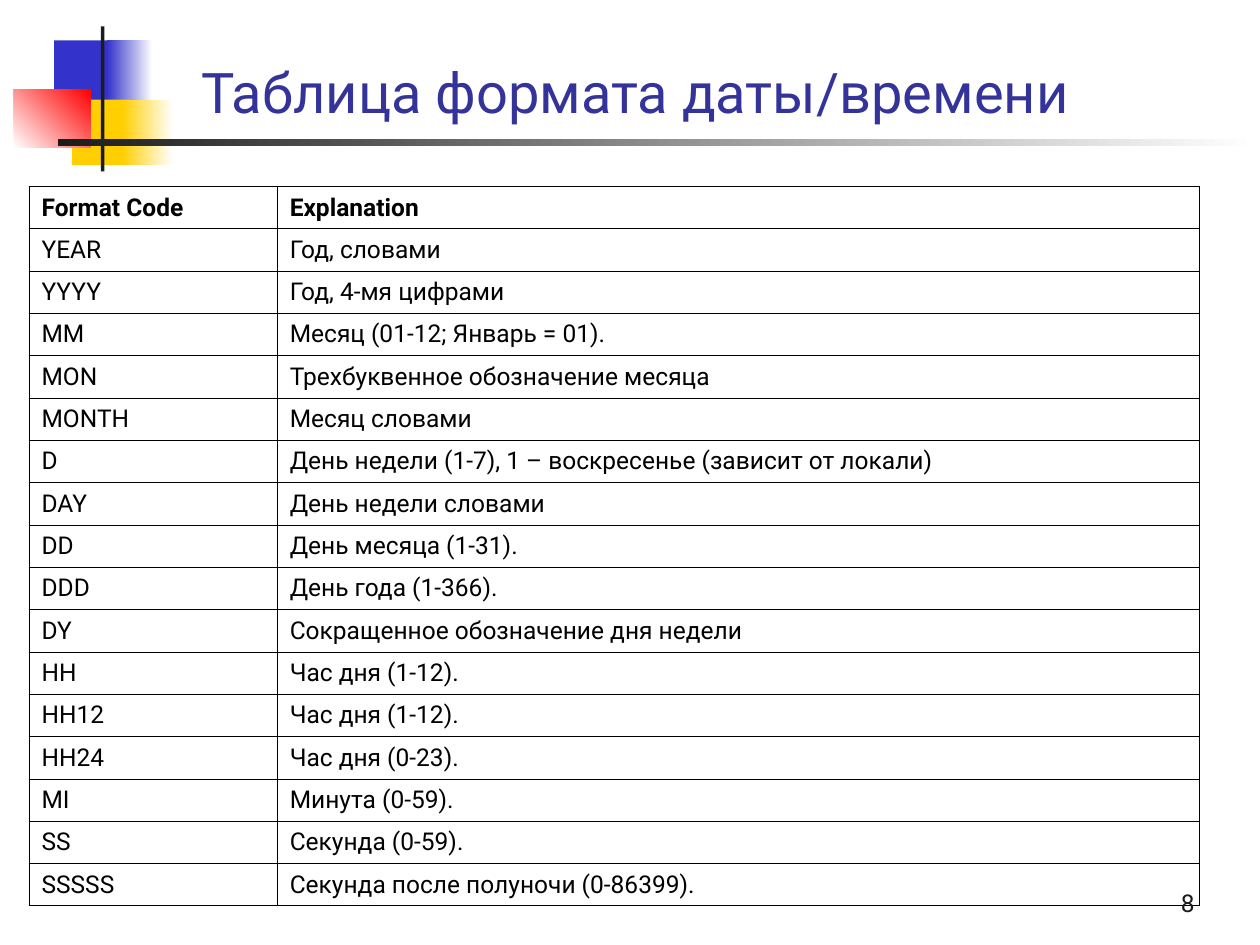
from dataclasses import dataclass
from typing import Optional

import pptx
import pptx.dml.color
import pptx.enum.shapes
import pptx.enum.text
import pptx.oxml
import pptx.oxml.ns
import pptx.util

Inches = pptx.util.Inches
Pt = pptx.util.Pt
RGB = pptx.dml.color.RGBColor.from_string
Align = pptx.enum.text.PP_ALIGN
Anchor = pptx.enum.text.MSO_ANCHOR


@dataclass(frozen=True)
class Theme:
    font: str = "Roboto"
    title_size: float = 32
    body_size: float = 14
    border_width: float = 0.45
    title: str = "333399"
    text: str = "000000"
    ink: str = "1C1C1C"
    blue: str = "3333CC"
    yellow: str = "FFCF01"
    red: str = "FF0000"
    white: str = "FFFFFF"


THEME = Theme()


@dataclass(frozen=True)
class Block:
    left: float
    top: float
    width: float
    height: float
    color: str
    end: Optional[str] = None
    angle: float = 0


@dataclass(frozen=True)
class FormatCode:
    code: str
    meaning: str


BLOCKS = [
    Block(0.43, 0.32, 0.48, 0.52, THEME.blue),
    Block(0.85, 0.32, 0.36, 0.52, THEME.blue, THEME.white),
    Block(0.57, 0.79, 0.46, 0.52, THEME.yellow),
    Block(0.97, 0.79, 0.4, 0.52, THEME.yellow, THEME.white),
    Block(0.11, 0.71, 0.61, 0.46, THEME.white, THEME.red, 45),
    Block(0.8, 0.21, 0.03, 1.15, THEME.ink),
    Block(0.46, 1.1, 9.51, 0.06, THEME.ink, THEME.white),
]

ROWS = [
    FormatCode("Format Сode", "Explanation"),
    FormatCode("YEAR", "Год, словами"),
    FormatCode("YYYY", "Год, 4-мя цифрами"),
    FormatCode("MM", "Месяц (01-12; Январь = 01)."),
    FormatCode("MON", "Трехбуквенное обозначение месяца"),
    FormatCode("MONTH", "Месяц словами"),
    FormatCode("D", "День недели (1-7), 1 – воскресенье (зависит от локали)"),
    FormatCode("DAY", "День недели словами"),
    FormatCode("DD", "День месяца (1-31)."),
    FormatCode("DDD", "День года (1-366)."),
    FormatCode("DY", "Сокращенное обозначение дня недели"),
    FormatCode("HH", "Час дня (1-12)."),
    FormatCode("HH12", "Час дня (1-12)."),
    FormatCode("HH24", "Час дня (0-23)."),
    FormatCode("MI", "Минута (0-59)."),
    FormatCode("SS", "Секунда (0-59)."),
    FormatCode("SSSSS", "Секунда после полуночи (0-86399)."),
]

COLUMN_WIDTHS = (1.97, 7.32)
TABLE_HEIGHT = 5.71


def write(tf, text: str, size: float, color: str, align=Align.LEFT, bold: bool = False) -> None:
    p = tf.paragraphs[0]
    p.text = text
    p.alignment = align
    p.font.name = THEME.font
    p.font.size = Pt(size)
    p.font.bold = bold
    p.font.color.rgb = RGB(color)


def add_block(slide, block: Block) -> None:
    s = slide.shapes.add_shape(
        pptx.enum.shapes.MSO_SHAPE.RECTANGLE,
        Inches(block.left), Inches(block.top), Inches(block.width), Inches(block.height),
    )
    s.shadow.inherit = False
    s.line.fill.background()
    if block.end is None:
        s.fill.solid()
        s.fill.fore_color.rgb = RGB(block.color)
        return
    s.fill.gradient()
    s.fill.gradient_angle = block.angle
    for stop, color in zip(s.fill.gradient_stops, (block.color, block.end)):
        stop.color.rgb = RGB(color)


def add_borders(cell) -> None:
    tc_pr = cell._tc.get_or_add_tcPr()
    for i, side in enumerate(("lnL", "lnR", "lnT", "lnB")):
        tc_pr.insert(i, pptx.oxml.parse_xml(
            f'<a:{side} {pptx.oxml.ns.nsdecls("a")} w="{Pt(THEME.border_width)}">'
            f'<a:solidFill><a:srgbClr val="{THEME.text}"/></a:solidFill></a:{side}>'
        ))


def add_format_table(slide, rows: list[FormatCode]) -> None:
    table = slide.shapes.add_table(
        len(rows), len(COLUMN_WIDTHS),
        Inches(0.23), Inches(1.48), Inches(sum(COLUMN_WIDTHS)), Inches(TABLE_HEIGHT),
    ).table
    table.horz_banding = False
    for column, width in zip(table.columns, COLUMN_WIDTHS):
        column.width = Inches(width)
    for i, row in enumerate(rows):
        table.rows[i].height = Inches(TABLE_HEIGHT / len(rows))
        for j, text in enumerate((row.code, row.meaning)):
            cell = table.cell(i, j)
            cell.vertical_anchor = Anchor.MIDDLE
            cell.fill.background()
            add_borders(cell)
            write(cell.text_frame, text, THEME.body_size, THEME.text, bold=i == 0)


def place_title(slide, text: str) -> None:
    s = slide.shapes.title
    s.left, s.top, s.width, s.height = Inches(1.5), Inches(0.33), Inches(8.5), Inches(0.71)
    tf = s.text_frame
    tf.auto_size = pptx.enum.text.MSO_AUTO_SIZE.NONE
    tf.vertical_anchor = Anchor.BOTTOM
    write(tf, text, THEME.title_size, THEME.title)


def add_page_number(slide, number: str) -> None:
    tf = slide.shapes.add_textbox(Inches(7.5), Inches(6.83), Inches(2.08), Inches(0.5)).text_frame
    tf.word_wrap = True
    tf.vertical_anchor = Anchor.BOTTOM
    write(tf, number, THEME.body_size, THEME.ink, Align.RIGHT)


def main() -> None:
    prs = pptx.Presentation()
    prs.slide_width, prs.slide_height = Inches(10), Inches(7.5)
    slide = prs.slides.add_slide(prs.slide_layouts[5])
    for block in BLOCKS:
        add_block(slide, block)
    add_format_table(slide, ROWS)
    place_title(slide, "Таблица формата даты/времени")
    add_page_number(slide, "8")
    prs.save("out.pptx")


if __name__ == "__main__":
    main()
